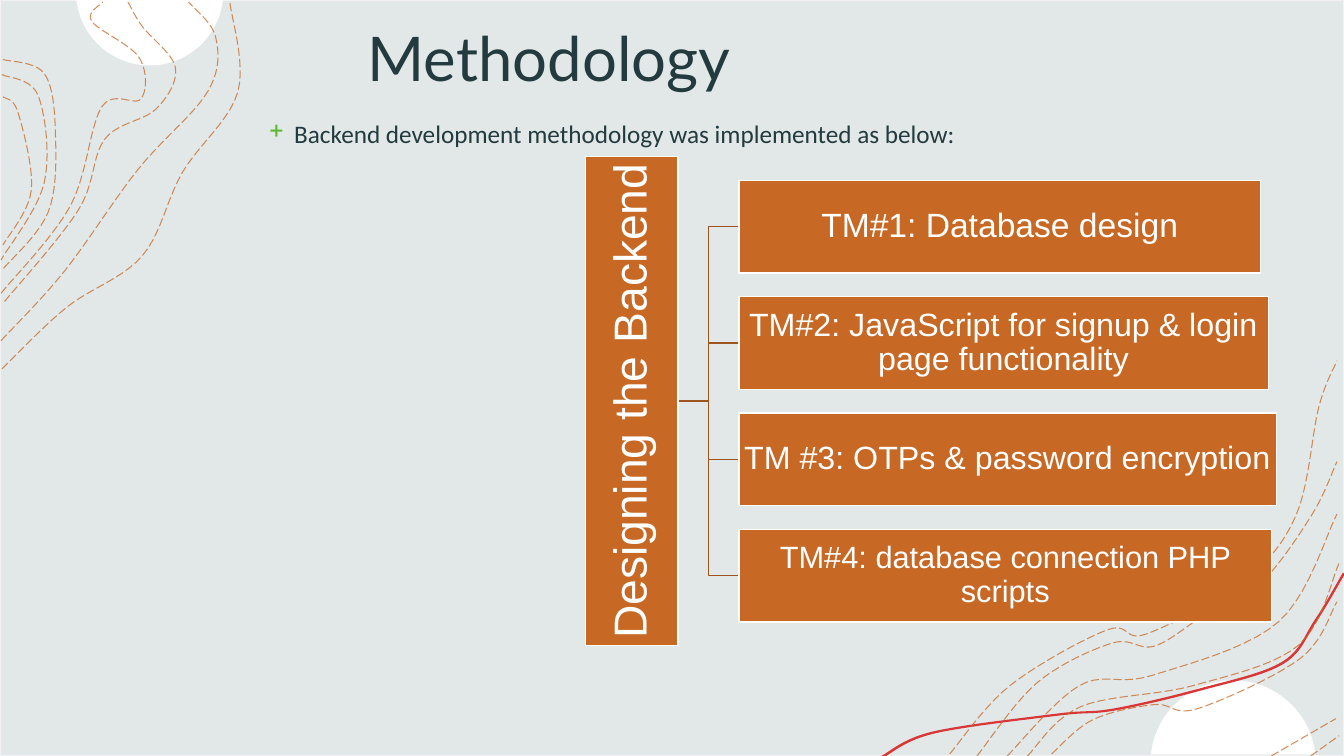
import math
from dataclasses import dataclass

import lxml.etree
import pptx
import pptx.dml.color
import pptx.enum.dml
import pptx.enum.shapes
import pptx.enum.text
import pptx.oxml.ns
import pptx.util

# Fine grid that all lengths are given in
COLUMNS, ROWS = 1333, 750
SLIDE_WIDTH, SLIDE_HEIGHT = pptx.util.Inches(13.33), pptx.util.Inches(7.5)

COLORS = {
    "backdrop": "E2E8E8", "frame": "F2F2F2", "white": "FFFFFF", "ribbon": "D93737",
    "orange": "C76825", "branch": "9F531E", "ink": "233A3E", "bullet": "5DB92E",
}
CENTER = pptx.enum.text.PP_ALIGN.CENTER
MIDDLE = pptx.enum.text.MSO_ANCHOR.MIDDLE

Point = tuple[float, float]


@dataclass
class Box:
    left: float
    top: float
    width: float
    height: float


@dataclass
class Disc:
    x: float
    y: float
    radius: float
    first_angle: float  # degrees, clockwise from the right


@dataclass
class Task:
    label: str
    width: float
    size: int


DISCS = [Disc(148.5, -8, 73, 6), Disc(1223, 757, 82, 186)]

RIBBON = [(874, 750), (924, 726), (1048, 708), (1104, 703), (1190, 683), (1271, 657),
          (1304, 615), (1332, 568)]
RIBBON_SHIFT = (1.5, 2)

CONTOURS = [
    # Upper left
    [(2, 366), (66, 305), (141, 254), (181, 171), (236, 91), (228, 2)],
    [(1, 338), (64, 269), (137, 168), (206, 91), (214, 37), (187, 2)],
    [(127, 2), (141, 26), (174, 67), (155, 108), (104, 138), (78, 208), (3, 301)],
    [(1, 291), (70, 204), (101, 106), (140, 98), (138, 57), (91, 21), (102, 2)],
    [(3, 59), (44, 73), (55, 132), (48, 210), (2, 268)],
    [(2, 74), (38, 95), (44, 181), (1, 258)],
    [(3, 96), (18, 112), (31, 189), (3, 243)],
    # Lower right
    [(942, 748), (1002, 680), (1098, 625), (1137, 629), (1234, 576), (1286, 510),
     (1308, 404), (1326, 358)],
    [(969, 750), (1029, 677), (1103, 638), (1145, 641), (1195, 610), (1250, 579),
     (1301, 511), (1326, 458)],
    [(1300, 750), (1328, 730)],
    [(1261, 750), (1325, 713)],
    [(1043, 748), (1084, 714), (1145, 699), (1188, 703), (1290, 653), (1326, 597)],
    [(1019, 750), (1072, 701), (1184, 680), (1288, 640), (1328, 559)],
    [(999, 750), (1071, 680), (1143, 670), (1268, 617), (1326, 510)],
]

# Task tree: a trunk and evenly spaced tasks
TRUNK = Box(384, 352, 485, 92)
TRUNK_EDGE = (673, 398)
FIRST_TASK_TOP, TASK_STEP, TASK_LEFT, TASK_HEIGHT = 179, 115.33, 733, 92
TASKS = [
    Task("TM#1: Database design", 517, 24),
    Task("TM#2: JavaScript for signup & login page functionality", 525, 23),
    Task("TM #3: OTPs & password encryption", 533, 23),
    Task("TM#4: database connection PHP scripts", 528, 22),
]


def col(count: float) -> int:
    return round(SLIDE_WIDTH * count / COLUMNS)


def row(count: float) -> int:
    return round(SLIDE_HEIGHT * count / ROWS)


def place(box: Box) -> tuple[int, int, int, int]:
    return col(box.left), row(box.top), col(box.width), row(box.height)


def color(name: str) -> pptx.dml.color.RGBColor:
    return pptx.dml.color.RGBColor.from_string(COLORS[name])


def smooth_curve(knots: list[Point], steps: int = 10) -> list[Point]:
    """Points of a Catmull-Rom curve through the knots."""
    padded = [knots[0], *knots, knots[-1]]
    curve = [knots[0]]
    for a, b, c, d in zip(padded, padded[1:], padded[2:], padded[3:]):
        for t in (step / steps for step in range(1, steps + 1)):
            curve.append(tuple(
                q + t * ((r - p) + t * ((2 * p - 5 * q + 4 * r - s) + t * (3 * q - p - 3 * r + s))) / 2
                for p, q, r, s in zip(a, b, c, d)))
    return curve


def draw_outline(slide, points: list[Point], closed: bool):
    corners = [(col(x), row(y)) for x, y in points]
    builder = slide.shapes.build_freeform(*corners[0], scale=1.0)
    builder.add_line_segments(corners[1:], close=closed)
    outline = builder.convert_to_shape()
    outline.shadow.inherit = False
    return outline


def draw_area(slide, points: list[Point], fill: str) -> None:
    area = draw_outline(slide, points, True)
    area.fill.solid()
    area.fill.fore_color.rgb = color(fill)
    area.line.fill.background()


def draw_disc(slide, disc: Disc) -> None:
    sweep = 168
    angles = [math.radians(disc.first_angle + degrees) for degrees in range(0, sweep + 1, 3)]
    draw_area(slide, [(disc.x + disc.radius * math.cos(angle), disc.y + disc.radius * math.sin(angle))
                      for angle in angles], "white")


def draw_contour(slide, knots: list[Point]) -> None:
    contour = draw_outline(slide, smooth_curve(knots), False)
    contour.fill.background()
    contour.line.color.rgb = color("orange")
    contour.line.width = pptx.util.Pt(0.75)
    contour.line.dash_style = pptx.enum.dml.MSO_LINE.LONG_DASH
    for tint in contour.element.spPr.iter(pptx.oxml.ns.qn("a:srgbClr")):
        lxml.etree.SubElement(tint, pptx.oxml.ns.qn("a:alpha"), val="75000")


def draw_panel(slide, box: Box, fill: str, border: str):
    panel = slide.shapes.add_shape(pptx.enum.shapes.MSO_SHAPE.RECTANGLE, *place(box))
    panel.shadow.inherit = False
    panel.fill.solid()
    panel.fill.fore_color.rgb = color(fill)
    panel.line.color.rgb = color(border)
    panel.line.width = pptx.util.Pt(1)
    return panel


def write(holder, text: str, font: str, size: int, ink: str):
    holder.text_frame.text = text
    holder.text_frame.word_wrap = True
    paragraph = holder.text_frame.paragraphs[0]
    style = paragraph.runs[0].font
    style.name, style.size, style.color.rgb = font, pptx.util.Pt(size), color(ink)
    return paragraph


def draw_node(slide, box: Box, label: str, size: int, rotation: float = 0) -> None:
    node = draw_panel(slide, box, "orange", "white")
    node.rotation = rotation
    paragraph = write(node, label, "Arial", size, "white")
    paragraph.alignment, paragraph.line_spacing = CENTER, 0.9
    frame = node.text_frame
    frame.vertical_anchor = MIDDLE
    frame.margin_left = frame.margin_right = col(2)
    frame.margin_top = frame.margin_bottom = row(2)


def draw_branch(slide, start: Point, end: Point) -> None:
    branch = slide.shapes.add_connector(
        pptx.enum.shapes.MSO_CONNECTOR.ELBOW,
        col(start[0]), row(start[1]), col(end[0]), row(end[1]))
    branch.line.color.rgb = color("branch")
    branch.line.width = pptx.util.Pt(1)
    lxml.etree.SubElement(branch.element.spPr, pptx.oxml.ns.qn("a:effectLst"))


def main() -> None:
    deck = pptx.Presentation()
    deck.slide_width, deck.slide_height = SLIDE_WIDTH, SLIDE_HEIGHT
    slide = deck.slides.add_slide(deck.slide_layouts[6])

    # Backdrop
    draw_panel(slide, Box(0, 0, COLUMNS, ROWS), "backdrop", "frame")
    for disc in DISCS:
        draw_disc(slide, disc)
    ribbon_top = smooth_curve(RIBBON)
    ribbon_bottom = [(x + RIBBON_SHIFT[0], y + RIBBON_SHIFT[1]) for x, y in reversed(ribbon_top)]
    draw_area(slide, ribbon_top + ribbon_bottom, "ribbon")
    for knots in CONTOURS:
        draw_contour(slide, knots)

    # Heading
    heading = slide.shapes.add_textbox(*place(Box(234, 0, 621, 113)))
    write(heading, "Methodology", "Lato", 44, "ink").alignment = CENTER
    heading.text_frame.vertical_anchor = MIDDLE

    # Task tree
    task_tops = [FIRST_TASK_TOP + TASK_STEP * i for i in range(len(TASKS))]
    for top in task_tops:
        draw_branch(slide, TRUNK_EDGE, (TASK_LEFT, top + TASK_HEIGHT / 2))
    draw_node(slide, TRUNK, "Designing the Backend", 33, rotation=270)
    for task, top in zip(TASKS, task_tops):
        draw_node(slide, Box(TASK_LEFT, top, task.width, TASK_HEIGHT), task.label, task.size)

    # Introduction
    intro = slide.shapes.add_textbox(*place(Box(257, 112, 720, 44)))
    point = write(intro, "Backend development methodology was implemented as below:",
                  "Calibri", 18, "ink")
    point.space_before = pptx.util.Pt(10)
    layout = point._p.get_or_add_pPr()
    layout.set("marL", str(col(25)))
    layout.set("indent", str(-col(25)))
    bullet_color = lxml.etree.SubElement(layout, pptx.oxml.ns.qn("a:buClr"))
    lxml.etree.SubElement(bullet_color, pptx.oxml.ns.qn("a:srgbClr"), val=COLORS["bullet"])
    lxml.etree.SubElement(layout, pptx.oxml.ns.qn("a:buChar"), char="+")

    deck.save("out.pptx")


if __name__ == "__main__":
    main()
